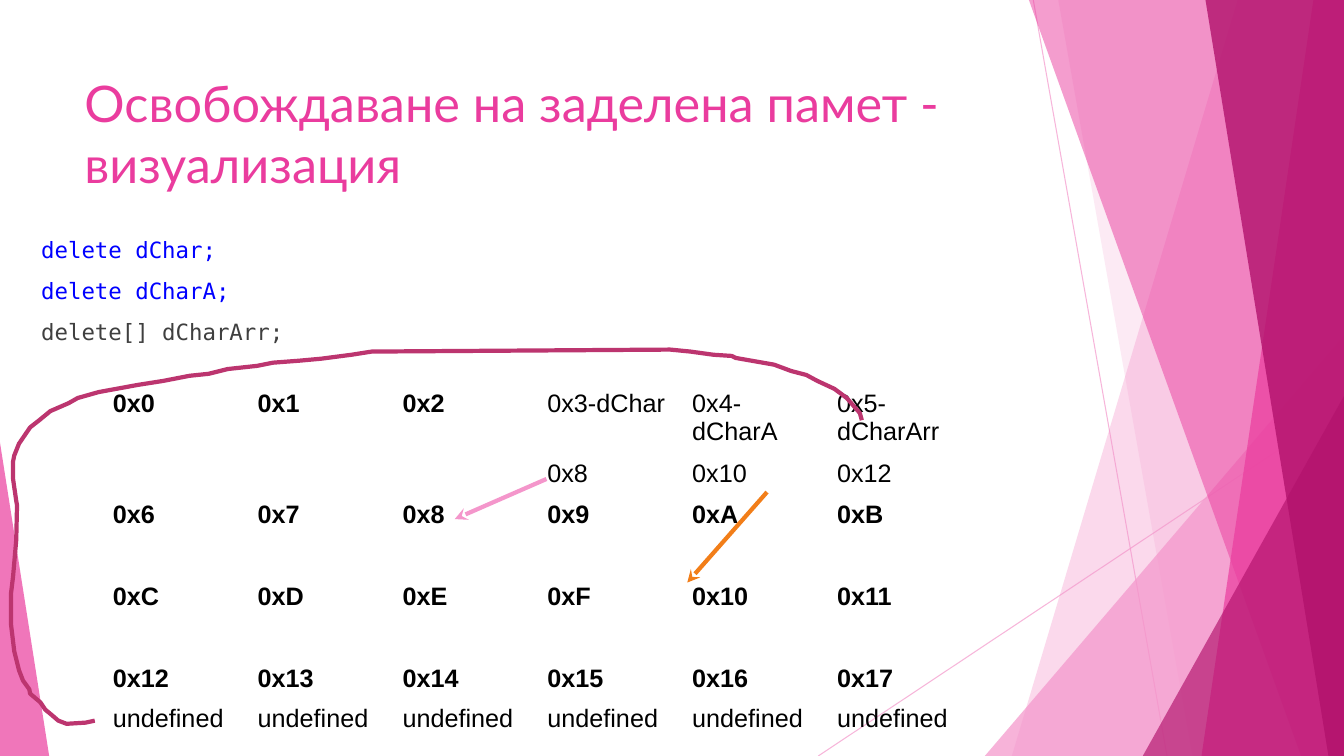
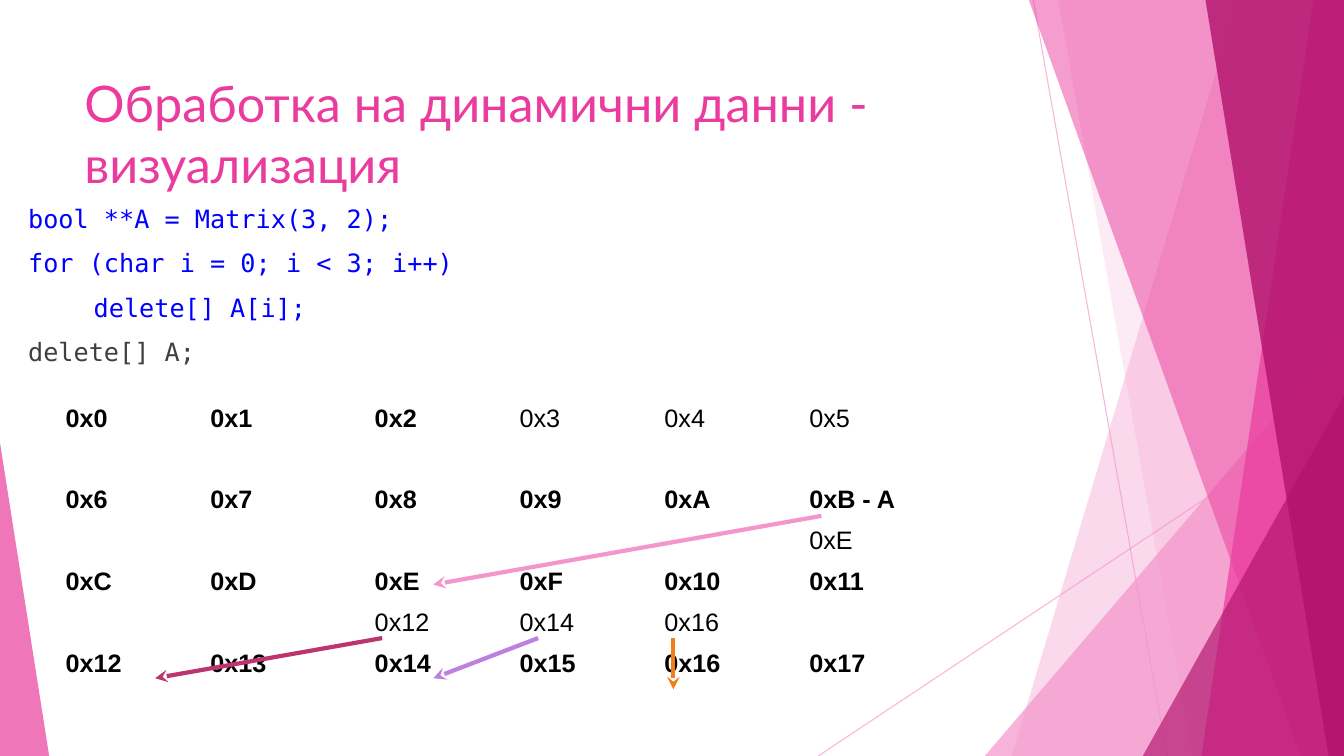
from dataclasses import dataclass, field
from typing import Union

import pptx
import pptx.dml.color
import pptx.enum.shapes
import pptx.oxml
import pptx.oxml.ns
import pptx.util
from pptx.util import Cm

WIDTH, HEIGHT = 33.87, 19.05
PINK, LIGHT_PINK, DARK_PINK = "EA3C9E", "F496CB", "B2126C"
CRIMSON, ORANGE, PURPLE = "BC356F", "F27E19", "BC80E0"
BLACK, BLUE, GRAY = "000000", "0000FF", "3F3F3F"
PLAIN_TABLE = "{2D5ABB26-0587-4C30-8999-92F81FD0307C}"
ROW_HEIGHT = 1.03
ADDRESSES_PER_ROW, ADDRESS_COUNT = 6, 24
POINTER_ADDRESSES = (3, 4, 5)

Point = tuple[float, float]


@dataclass
class Band:
    """A strip from a slanted left side to the right edge of the page."""
    top_x: float
    bottom_x: float
    color: str
    opacity: int


@dataclass
class Triangle:
    """A right-angled triangle standing on the bottom edge of the page."""
    left: float
    top: float
    right: float
    apex: float
    color: str
    opacity: int


@dataclass
class Line:
    start: Point
    end: Point
    color: str


@dataclass
class Code:
    left: float
    top: float
    height: float
    size: int
    lines: list[str]


@dataclass
class Memory:
    """A grid of addresses; names replace addresses, values stand below them."""
    left: float
    top: float
    columns: list[float]
    values: dict[int, str]
    names: dict[int, str]


@dataclass
class Topic:
    title: str
    code: Code
    memory: Memory
    arrows: list[Line]
    curve: list[Point] = field(default_factory=list)


GUIDES = [
    Line((26.04, 0), (29.41, HEIGHT), LIGHT_PINK),
    Line((WIDTH, 10.24), (20.62, HEIGHT), LIGHT_PINK),
]
FACETS: list[Union[Band, Triangle]] = [
    Band(31.19, 25.5, LIGHT_PINK, 36),
    Band(26.67, 30.05, LIGHT_PINK, 20),
    Triangle(24.82, 8.46, WIDTH, 1, LIGHT_PINK, 72),
    Band(25.93, 32.79, PINK, 50),
    Band(33.1, 30.28, PINK, 70),
    Band(30.38, 33.48, DARK_PINK, 80),
    Triangle(28.8, 9.98, WIDTH, 1, DARK_PINK, 66),
    Triangle(0, 11.15, 1.24, 0, PINK, 70),
]
ARRAY_POINTER_CURVE = [
    (21.72, 10.59), (21.67, 10.41), (21.34, 10.03), (21.03, 9.8), (20.6, 9.6),
    (20.32, 9.45), (19.94, 9.35), (19.51, 9.19), (18.54, 9.02), (18.44, 8.97),
    (17.98, 8.94), (17.4, 8.86), (16.89, 8.81), (9.37, 8.86), (8.86, 8.94),
    (8.1, 9.04), (7.54, 9.09), (6.88, 9.14), (6.48, 9.22), (5.74, 9.3),
    (5.26, 9.42), (4.78, 9.47), (4.11, 9.6), (3.48, 9.7), (2.49, 9.88),
    (1.96, 10.03), (1.73, 10.16), (1.5, 10.26), (1.27, 10.36), (0.99, 10.59),
    (0.76, 10.77), (0.48, 11.18), (0.36, 11.48), (0.33, 11.63), (0.33, 12.07),
    (0.41, 12.62), (0.43, 12.73), (0.41, 13.61), (0.33, 14.53), (0.28, 14.94),
    (0.28, 15.75), (0.36, 16.41), (0.48, 16.89), (0.58, 17.15), (0.74, 17.37),
    (0.76, 17.48), (1.02, 17.7), (1.14, 17.88), (1.32, 18.03), (1.47, 18.16),
    (1.68, 18.24), (2.16, 18.21), (2.39, 18.16),
]
TOPICS = [
    Topic(
        "Освобождаване на заделена памет - визуализация",
        Code(0.79, 5.82, 3.2, 16,
             ["delete dChar;", "delete dCharA;", "delete[] dCharArr;"]),
        Memory(2.59, 9.68, [3.65] * 5 + [4.04],
               {3: "0x8", 4: "0x10", 5: "0x12"}
               | {address: "undefined" for address in range(18, 24)},
               {3: "0x3-dChar", 4: "0x4-dCharA", 5: "0x5-dCharArr"}),
        [Line((13.77, 12.07), (11.46, 13.08), LIGHT_PINK),
         Line((19.33, 12.4), (17.32, 14.68), ORANGE)],
        ARRAY_POINTER_CURVE,
    ),
    Topic(
        "Обработка на динамични данни - визуализация",
        Code(0.46, 5, 4.6, 18,
             ["bool **A = Matrix(3, 2);", "for (char i = 0; i < 3; i++)",
              "\t delete[] A[i];", "delete[] A;"]),
        Memory(1.4, 10.06, [3.65, 4.14, 3.65, 3.65, 3.65, 4.17],
               {11: "0xE", 14: "0x12", 15: "0x14", 16: "0x16"},
               {11: "0xB - A"}),
        [Line((20.7, 13), (10.92, 14.73), LIGHT_PINK),
         Line((9.63, 16.08), (3.91, 17.09), CRIMSON),
         Line((13.56, 16.08), (10.92, 17.09), PURPLE),
         Line((16.97, 16.08), (16.97, 17.37), ORANGE)],
    ),
]


def rgb(color: str) -> pptx.dml.color.RGBColor:
    return pptx.dml.color.RGBColor.from_string(color)


def set_opacity(shape, percent: int) -> None:
    for color in shape._element.spPr.iter(pptx.oxml.ns.qn("a:srgbClr")):
        alpha = color.makeelement(pptx.oxml.ns.qn("a:alpha"), {"val": str(percent * 1000)})
        color.append(alpha)


def format_paragraph(para, font: str, size: int, color: str, bold: bool = False) -> None:
    for span in para.runs:
        span.font.name = font
        span.font.size = pptx.util.Pt(size)
        span.font.color.rgb = rgb(color)
        span.font.bold = bold


def add_text_box(page, left: float, top: float, height: float, text: str):
    box = page.shapes.add_textbox(Cm(left), Cm(top), Cm(23.88), Cm(height))
    box.text_frame.word_wrap = True
    box.text_frame.text = text
    return box


def add_line(page, line: Line, width: float):
    connector = page.shapes.add_connector(
        pptx.enum.shapes.MSO_CONNECTOR.STRAIGHT,
        *(Cm(value) for value in line.start + line.end))
    connector.line.color.rgb = rgb(line.color)
    connector.line.width = pptx.util.Pt(width)
    properties = connector._element.spPr
    properties.append(properties.makeelement(pptx.oxml.ns.qn("a:effectLst"), {}))
    return connector


def add_arrow(page, arrow: Line) -> None:
    outline = add_line(page, arrow, 3).line._get_or_add_ln()
    outline.append(outline.makeelement(pptx.oxml.ns.qn("a:tailEnd"), {"type": "stealth"}))


def add_outline(page, points: list[Point], close: bool):
    corners = [(Cm(x), Cm(y)) for x, y in points]
    builder = page.shapes.build_freeform(*corners[0])
    builder.add_line_segments(corners[1:], close=close)
    shape = builder.convert_to_shape()
    shape.shadow.inherit = False
    return shape


def add_curve(page, points: list[Point]) -> None:
    curve = add_outline(page, points, close=False)
    curve.fill.background()
    curve.line.color.rgb = rgb(CRIMSON)
    curve.line.width = pptx.util.Pt(3)


def add_facet(page, facet: Union[Band, Triangle]) -> None:
    if isinstance(facet, Band):
        shape = add_outline(page, [(facet.top_x, 0), (WIDTH, 0), (WIDTH, HEIGHT),
                                   (facet.bottom_x, HEIGHT)], close=True)
    else:
        shape = page.shapes.add_shape(
            pptx.enum.shapes.MSO_SHAPE.ISOSCELES_TRIANGLE, Cm(facet.left), Cm(facet.top),
            Cm(facet.right - facet.left), Cm(HEIGHT - facet.top))
        shape.adjustments[0] = facet.apex
        shape.shadow.inherit = False
    shape.line.fill.background()
    shape.fill.solid()
    shape.fill.fore_color.rgb = rgb(facet.color)
    set_opacity(shape, facet.opacity)


def add_background(page) -> None:
    for guide in GUIDES:
        set_opacity(add_line(page, guide, 0.75), 70)
    for facet in FACETS:
        add_facet(page, facet)


def add_title(page, title: str) -> None:
    box = add_text_box(page, 1.88, 1.7, 3.66, title)
    format_paragraph(box.text_frame.paragraphs[0], "Lato", 36, PINK)


def add_code(page, code: Code) -> None:
    """Lines already run are blue; the last line is gray."""
    box = add_text_box(page, code.left, code.top, code.height, "\n".join(code.lines))
    paragraphs = box.text_frame.paragraphs
    for index, para in enumerate(paragraphs):
        if index:
            para.space_before = pptx.util.Pt(10)
        color = GRAY if index == len(paragraphs) - 1 else BLUE
        format_paragraph(para, "DejaVu Sans Mono", code.size, color)


def fill_cell(cell, text: str, bold: bool) -> None:
    cell.text_frame.text = text
    format_paragraph(cell.text_frame.paragraphs[0], "Arial", 18, BLACK, bold)


def add_memory(page, memory: Memory) -> None:
    row_count = 2 * ADDRESS_COUNT // ADDRESSES_PER_ROW
    frame = page.shapes.add_table(
        row_count, ADDRESSES_PER_ROW, Cm(memory.left), Cm(memory.top),
        Cm(sum(memory.columns)), Cm(row_count * ROW_HEIGHT))
    table = frame.table
    table.first_row = table.horz_banding = False
    table._tbl.tblPr.find(pptx.oxml.ns.qn("a:tableStyleId")).text = PLAIN_TABLE
    for column, width in zip(table.columns, memory.columns):
        column.width = Cm(width)
    for row in table.rows:
        row.height = Cm(ROW_HEIGHT)
    for cell in table.iter_cells():
        cell.fill.background()
    for address in range(ADDRESS_COUNT):
        line, column = divmod(address, ADDRESSES_PER_ROW)
        name = memory.names.get(address, f"0x{address:X}")
        fill_cell(table.cell(2 * line, column), name, address not in POINTER_ADDRESSES)
        if address in memory.values:
            fill_cell(table.cell(2 * line + 1, column), memory.values[address], False)


def main() -> None:
    deck = pptx.Presentation()
    deck.slide_width, deck.slide_height = Cm(WIDTH), Cm(HEIGHT)
    for topic in TOPICS:
        page = deck.slides.add_slide(deck.slide_layouts[6])
        add_background(page)
        add_title(page, topic.title)
        add_code(page, topic.code)
        add_memory(page, topic.memory)
        for arrow in topic.arrows:
            add_arrow(page, arrow)
        if topic.curve:
            add_curve(page, topic.curve)
    deck.save("out.pptx")


if __name__ == "__main__":
    main()
